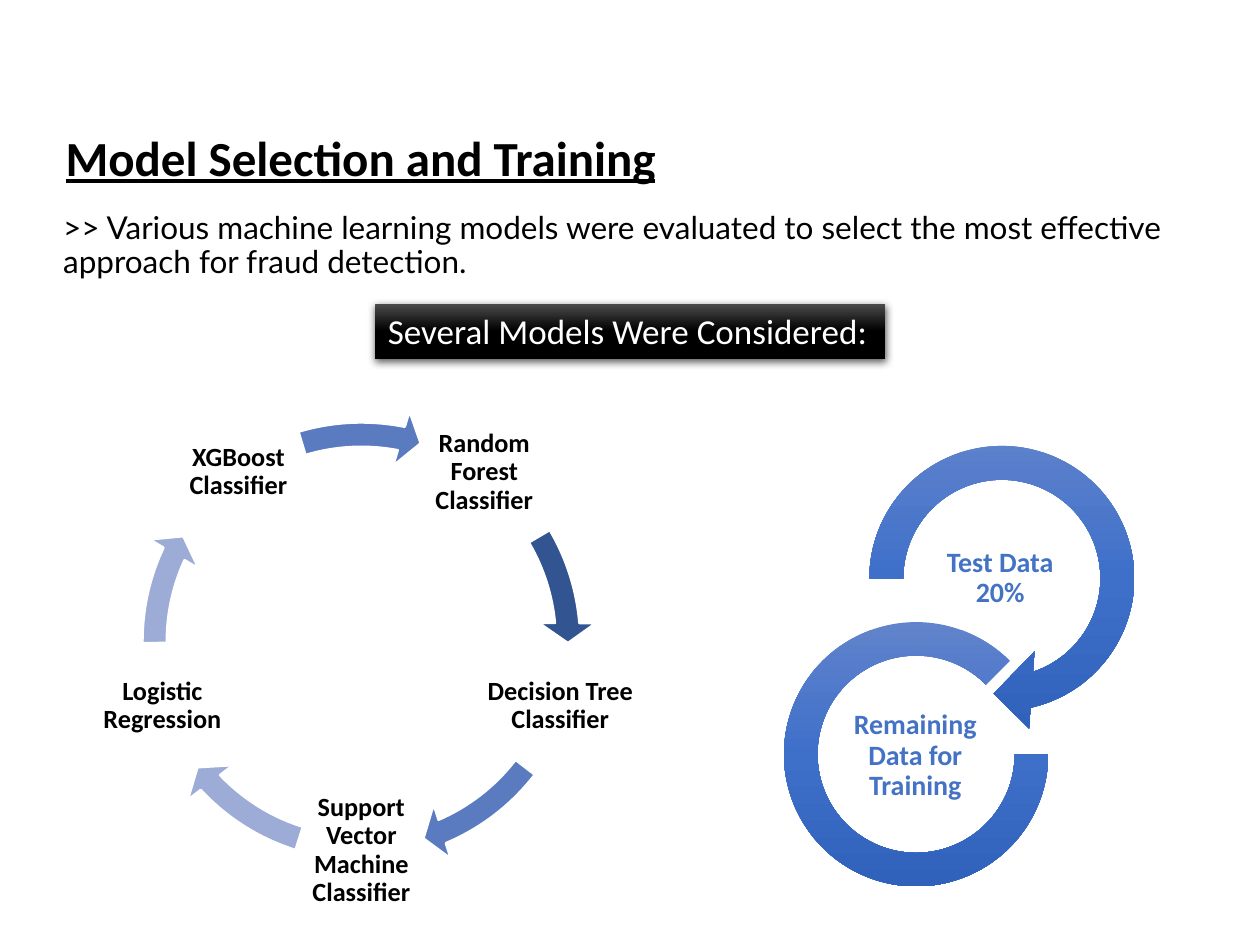
from math import cos, radians, sin

from pptx import Presentation
from pptx.dml.color import RGBColor
from pptx.enum.shapes import MSO_SHAPE
from pptx.enum.text import MSO_ANCHOR, MSO_AUTO_SIZE, PP_ALIGN
from pptx.oxml import parse_xml
from pptx.oxml.ns import nsdecls, qn
from pptx.util import Pt

RECTANGLE, CIRCULAR_ARROW, BLOCK_ARC = (
    MSO_SHAPE.RECTANGLE, MSO_SHAPE.CIRCULAR_ARROW, MSO_SHAPE.BLOCK_ARC)
LEFT, CENTER = PP_ALIGN.LEFT, PP_ALIGN.CENTER
TOP, MIDDLE = MSO_ANCHOR.TOP, MSO_ANCHOR.MIDDLE
NO_AUTOFIT = MSO_AUTO_SIZE.NONE
TITLE_ONLY = 5

COLORS = {
    "black": "000000", "white": "FFFFFF", "gray": "4B4B4B", "accent": "4472C4",
    "dark": "325491", "mid": "5B7BC0", "pale": "9DACD6",
    "glow": "6183CB", "core": "3E70CA", "deep": "3062BB",
}
BANNER_GRADIENT = ("gray", "black", "black")
SPLIT_GRADIENT = ("glow", "core", "deep")

TITLE = "Model Selection and Training"
INTRO = (">> Various machine learning models were evaluated to select "
         "the most effective approach for fraud detection.")
BANNER = "Several Models Were Considered:"

# Model, label width, then the arrow that leaves it: colour, start and end angle
MODELS = [
    ("Random Forest Classifier", 72, "dark", 329.42, 354.91),
    ("Decision Tree Classifier", 134, "mid", 37.53, 66.94),
    ("Support Vector Machine Classifier", 72, "pale", 107.47, 136.88),
    ("Logistic Regression", 72, "pale", 179.5, 204.99),
    ("XGBoost Classifier", 72, "mid", 253.29, 281.12),
]
CYCLE_CENTER = (206.5, 366.5)
CYCLE_RADIUS = 119.5
CYCLE_SIZE = 269
LABEL_HEIGHT = 72

# Label, label box, ring preset, ring box, ring adjustments
DATA_SPLIT = [
    ("Test Data\n20%", (522.5, 306, 98, 49), CIRCULAR_ARROW,
     (484.5, 242.5, 176, 176), (0.11, 11.42, 45, 108, 0.125)),
    ("Remaining Data for Training", (474, 407.5, 98, 49), BLOCK_ARC,
     (448, 355.5, 151, 151), (0, 189, 0.127)),
]


def rgb(name):
    return RGBColor.from_string(COLORS[name])


def write(shape, text, size, color="black", font="Calibri", bold=False,
          underline=False, align=LEFT, anchor=TOP, spacing=1.0, inset=None):
    frame = shape.text_frame
    frame.word_wrap = True
    frame.auto_size = NO_AUTOFIT
    frame.vertical_anchor = anchor
    if inset is not None:
        frame.margin_left = frame.margin_right = Pt(inset)
        frame.margin_top = frame.margin_bottom = Pt(inset)
    paragraph = frame.paragraphs[0]
    paragraph.text = text
    paragraph.alignment = align
    paragraph.line_spacing = spacing
    for run in paragraph.runs:
        run.font.name = font
        run.font.size = Pt(size)
        run.font.bold = bold
        run.font.underline = underline
        run.font.color.rgb = rgb(color)


def add_label(shapes, box, text, size, **text_format):
    label = shapes.add_textbox(*map(Pt, box))
    write(label, text, size, bold=True, align=CENTER, anchor=MIDDLE,
          spacing=0.9, **text_format)


def add_plain_shape(shapes, preset, box, adjustments=()):
    shape = shapes.add_shape(preset, *map(Pt, box))
    shape.shadow.inherit = False
    shape.line.fill.background()
    for index, value in enumerate(adjustments):
        shape.adjustments[index] = value
    return shape


def fill_gradient(shape, names):
    """Fill from top to bottom with evenly spaced colour stops."""
    step = 100000 // (len(names) - 1)
    stops = "".join(
        f'<a:gs pos="{i * step}"><a:srgbClr val="{COLORS[name]}"/></a:gs>'
        for i, name in enumerate(names))
    gradient = parse_xml(
        f'<a:gradFill {nsdecls("a")} rotWithShape="1"><a:gsLst>{stops}</a:gsLst>'
        '<a:lin ang="5400000" scaled="0"/></a:gradFill>')
    shape._element.spPr.find(qn("a:prstGeom")).addnext(gradient)


def add_drop_shadow(shape):
    shadow = parse_xml(
        f'<a:outerShdw {nsdecls("a")} blurRad="{Pt(4.5)}" dist="{Pt(1.5)}" '
        f'dir="5400000" rotWithShape="0"><a:srgbClr val="{COLORS["black"]}">'
        '<a:alpha val="63000"/></a:srgbClr></a:outerShdw>')
    shape._element.spPr.find(qn("a:effectLst")).append(shadow)


def add_model_cycle(slide):
    shapes = slide.shapes.add_group_shape().shapes
    center_x, center_y = CYCLE_CENTER
    ring_box = (center_x - CYCLE_SIZE / 2, center_y - CYCLE_SIZE / 2,
                CYCLE_SIZE, CYCLE_SIZE)
    step = 360 / len(MODELS)
    for index, (model, width, color, start, end) in enumerate(MODELS):
        angle = radians(-90 + step * (index + 0.5))
        x = center_x + CYCLE_RADIUS * cos(angle)
        y = center_y + CYCLE_RADIUS * sin(angle)
        add_label(shapes, (x - width / 2, y - LABEL_HEIGHT / 2, width, LABEL_HEIGHT),
                  model, 15, inset=1.5)
        # An adjustment of 0.6 is one degree
        arrow = add_plain_shape(shapes, CIRCULAR_ARROW, ring_box,
                                (0.052, 3.36, end * 0.6, start * 0.6, 0.061))
        arrow.fill.solid()
        arrow.fill.fore_color.rgb = rgb(color)
        arrow.line.color.rgb = rgb("white")
        arrow.line.width = Pt(1.5)


def add_data_split(slide):
    shapes = slide.shapes.add_group_shape().shapes
    for text, label_box, preset, ring_box, adjustments in DATA_SPLIT:
        ring = add_plain_shape(shapes, preset, ring_box, adjustments)
        fill_gradient(ring, SPLIT_GRADIENT)
        add_label(shapes, label_box, text, 16, color="accent", inset=0.75)


def main():
    deck = Presentation()
    deck.slide_width, deck.slide_height = Pt(720), Pt(540)
    slide = deck.slides.add_slide(deck.slide_layouts[TITLE_ONLY])

    title = slide.shapes.title
    title.left, title.top, title.width, title.height = map(Pt, (29, 69, 354, 41))
    write(title, TITLE, 28, bold=True, underline=True, align=CENTER)

    intro = slide.shapes.add_textbox(*map(Pt, (29, 117.5, 655, 50)))
    write(intro, INTRO, 18, font="Lato", spacing=0.9)

    banner = add_plain_shape(slide.shapes, RECTANGLE, (214.5, 173.5, 291.5, 31.5))
    fill_gradient(banner, BANNER_GRADIENT)
    add_drop_shadow(banner)
    write(banner, BANNER, 20, color="white")

    add_model_cycle(slide)
    add_data_split(slide)
    deck.save("out.pptx")


if __name__ == "__main__":
    main()
